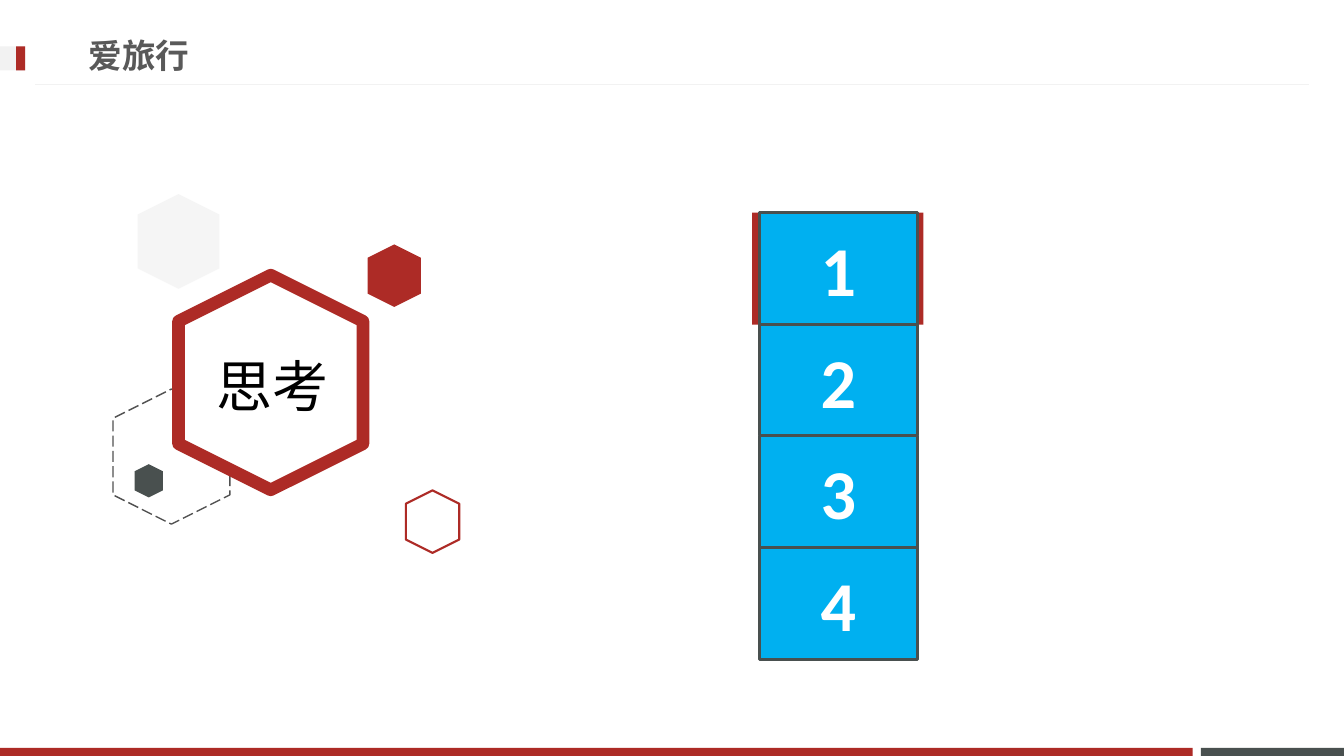
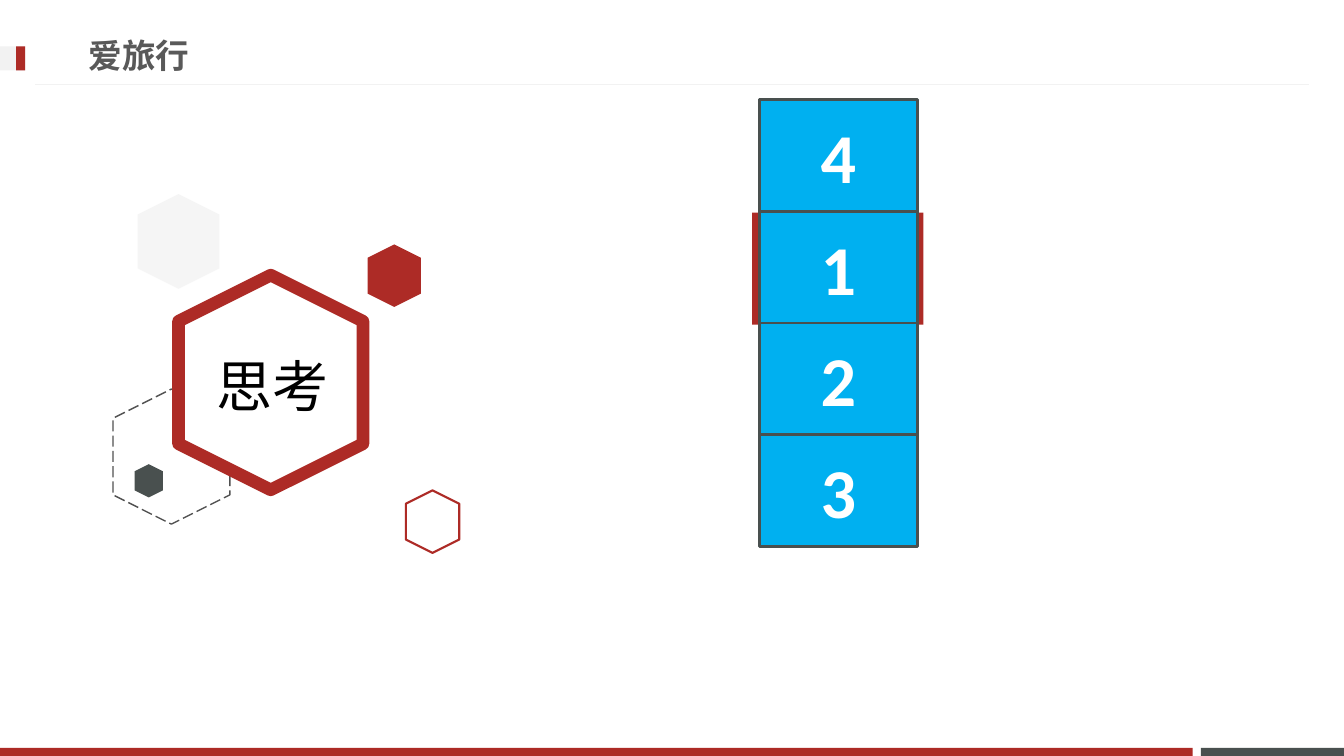
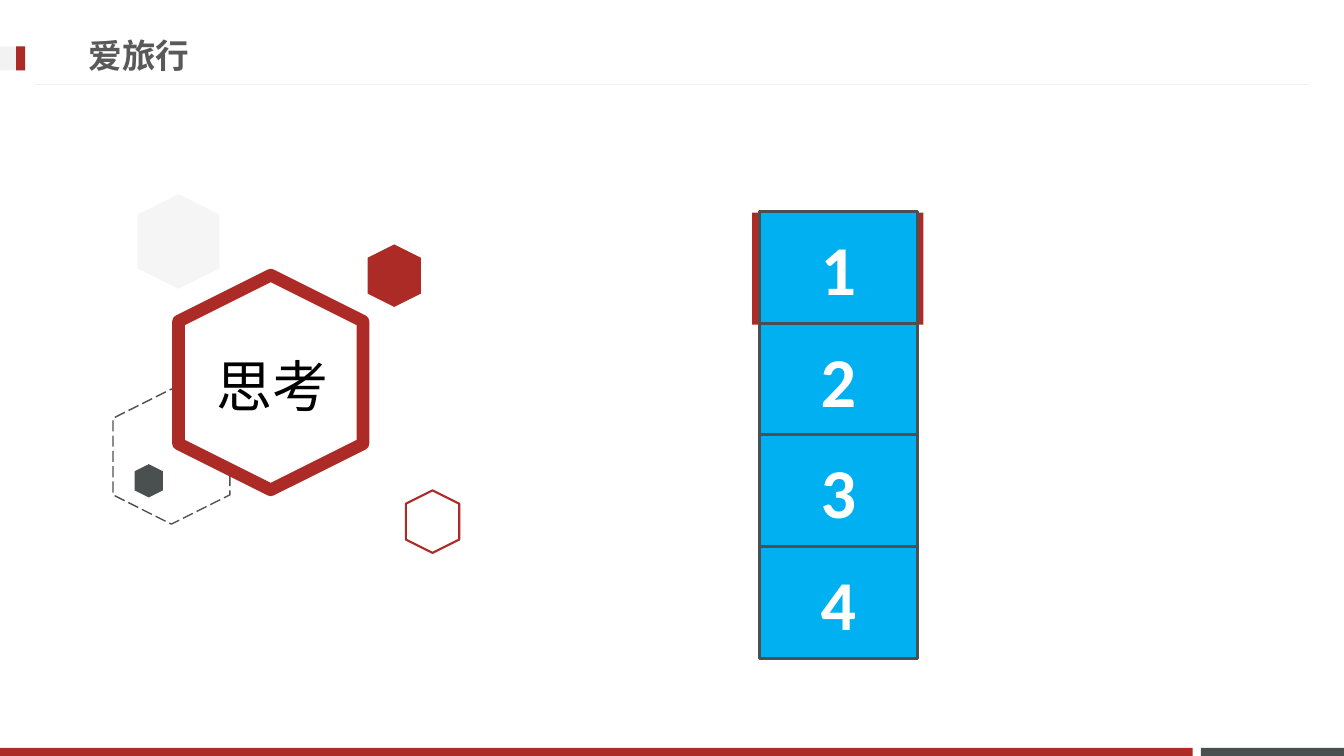
"""Build three slides showing a rolling stack of numbered tiles."""
from dataclasses import dataclass
from typing import Optional

from lxml.etree import SubElement
from pptx import Presentation
from pptx.dml.color import RGBColor
from pptx.enum.dml import MSO_LINE
from pptx.enum.shapes import MSO_CONNECTOR, MSO_SHAPE
from pptx.enum.text import MSO_ANCHOR, PP_ALIGN
from pptx.oxml.ns import qn
from pptx.shapes.autoshape import Shape
from pptx.slide import Slide
from pptx.util import Inches, Pt


@dataclass(frozen=True)
class Theme:
    red: str = "AD2B26"
    slate: str = "49504F"
    outline: str = "515151"
    pale: str = "F2F2F2"
    white: str = "FFFFFF"
    black: str = "000000"
    blue: str = "00B0F0"
    title_color: str = "595959"
    title_font: str = "Arial"
    label_font: str = "Noto Sans CJK JP"
    number_font: str = "Calibri"
    title_size: int = 24
    label_size: int = 40
    number_size: int = 50


@dataclass(frozen=True)
class Box:
    left: float
    top: float
    width: float
    height: float


@dataclass(frozen=True)
class Style:
    fill: Optional[str] = None
    line: Optional[str] = None
    line_width: float = 1
    dashed: bool = False
    opacity: int = 100


@dataclass(frozen=True)
class TextStyle:
    font: str
    size: int
    color: str
    bold: bool = False
    align: PP_ALIGN = PP_ALIGN.CENTER
    line_spacing: float = 1.0


@dataclass(frozen=True)
class Stack:
    top: float
    numbers: str


THEME = Theme()
TITLE_TEXT = TextStyle(THEME.title_font, THEME.title_size, THEME.title_color, True, PP_ALIGN.LEFT)
LABEL_TEXT = TextStyle(THEME.label_font, THEME.label_size, THEME.black, line_spacing=0.9)
NUMBER_TEXT = TextStyle(THEME.number_font, THEME.number_size, THEME.white, True)

BANDS = (
    (Box(11.91, 7.42, 1.42, 0.08), THEME.slate),
    (Box(0, 7.42, 11.83, 0.08), THEME.red),
    (Box(0, 0.46, 0.25, 0.24), THEME.pale),
    (Box(0.16, 0.46, 0.09, 0.24), THEME.red),
)
HEXAGONS = (
    (Box(1.03, 3.95, 1.34, 1.16), Style(line=THEME.outline, dashed=True)),
    (Box(1.62, 2.88, 2.13, 1.83), Style(THEME.white, THEME.red, 9)),
    (Box(3.6, 2.47, 0.62, 0.53), Style(THEME.red)),
    (Box(1.31, 4.63, 0.33, 0.28), Style(THEME.slate)),
    (Box(3.98, 4.91, 0.62, 0.53), Style(line=THEME.red, line_width=1.5)),
    (Box(1.3, 1.99, 0.94, 0.81), Style(THEME.pale, opacity=70)),
)
STACKS = (Stack(2.11, "1234"), Stack(0.99, "4123"), Stack(2.1, "1234"))
TILE_LEFT, TILE_WIDTH = 7.53, 1.57
STACK_HEIGHT = 4.43
TILE_STYLE = Style(THEME.blue, THEME.slate, 2)
SELECTION = Box(7.46, 2.11, 1.7, 1.11)


def add_box(slide: Slide, kind: MSO_SHAPE, box: Box, style: Style) -> Shape:
    """Add a preset shape with the given fill and outline."""
    shape = slide.shapes.add_shape(
        kind, Inches(box.left), Inches(box.top), Inches(box.width), Inches(box.height)
    )
    shape.shadow.inherit = False
    if style.fill:
        shape.fill.solid()
        shape.fill.fore_color.rgb = RGBColor.from_string(style.fill)
        if style.opacity < 100:
            color = shape.fill._xPr.find(qn("a:solidFill"))[0]
            SubElement(color, qn("a:alpha")).set("val", str(style.opacity * 1000))
    else:
        shape.fill.background()
    if style.line:
        shape.line.color.rgb = RGBColor.from_string(style.line)
        shape.line.width = Pt(style.line_width)
        if style.dashed:
            shape.line.dash_style = MSO_LINE.LONG_DASH
    else:
        shape.line.fill.background()
    return shape


def write_text(shape: Shape, text: str, style: TextStyle) -> None:
    """Write one vertically centred run into a shape."""
    frame = shape.text_frame
    frame.word_wrap = True
    frame.vertical_anchor = MSO_ANCHOR.MIDDLE
    paragraph = frame.paragraphs[0]
    paragraph.alignment = style.align
    paragraph.line_spacing = style.line_spacing
    run = paragraph.add_run()
    run.text = text
    run.font.name = style.font
    run.font.size = Pt(style.size)
    run.font.bold = style.bold
    run.font.color.rgb = RGBColor.from_string(style.color)
    SubElement(run.font._element, qn("a:ea")).set("typeface", THEME.label_font)


def add_text(slide: Slide, box: Box, text: str, style: TextStyle) -> None:
    """Add a text box."""
    shape = slide.shapes.add_textbox(
        Inches(box.left), Inches(box.top), Inches(box.width), Inches(box.height)
    )
    write_text(shape, text, style)


def add_frame(slide: Slide) -> None:
    """Draw the bands, header rule, hexagon group and title."""
    for box, color in BANDS:
        add_box(slide, MSO_SHAPE.RECTANGLE, box, Style(color))
    rule = slide.shapes.add_connector(
        MSO_CONNECTOR.STRAIGHT, Inches(12.98), Inches(0.84), Inches(0.35), Inches(0.84)
    )
    rule.line.color.rgb = RGBColor.from_string(THEME.pale)
    rule.line.width = Pt(0.75)
    SubElement(rule._element.spPr, qn("a:effectLst"))
    for box, style in HEXAGONS:
        add_box(slide, MSO_SHAPE.HEXAGON, box, style).rotation = 90
    add_text(slide, Box(1.85, 3.27, 1.71, 1.18), "思考", LABEL_TEXT)
    add_text(slide, Box(0.78, 0.26, 9.59, 0.57), "爱旅行", TITLE_TEXT)


def add_stack(slide: Slide, stack: Stack) -> None:
    """Draw the selection mark and the numbered tiles over it."""
    add_box(slide, MSO_SHAPE.RECTANGLE, SELECTION, Style(THEME.red))
    height = STACK_HEIGHT / len(stack.numbers)
    for index, number in enumerate(stack.numbers):
        box = Box(TILE_LEFT, stack.top + index * height, TILE_WIDTH, height)
        tile = add_box(slide, MSO_SHAPE.RECTANGLE, box, TILE_STYLE)
        write_text(tile, number, NUMBER_TEXT)


def main() -> None:
    """Build and save the presentation."""
    presentation = Presentation()
    presentation.slide_width = Inches(13.33)
    presentation.slide_height = Inches(7.5)
    for stack in STACKS:
        slide = presentation.slides.add_slide(presentation.slide_layouts[6])
        add_frame(slide)
        add_stack(slide, stack)
    presentation.save("out.pptx")


if __name__ == "__main__":
    main()
